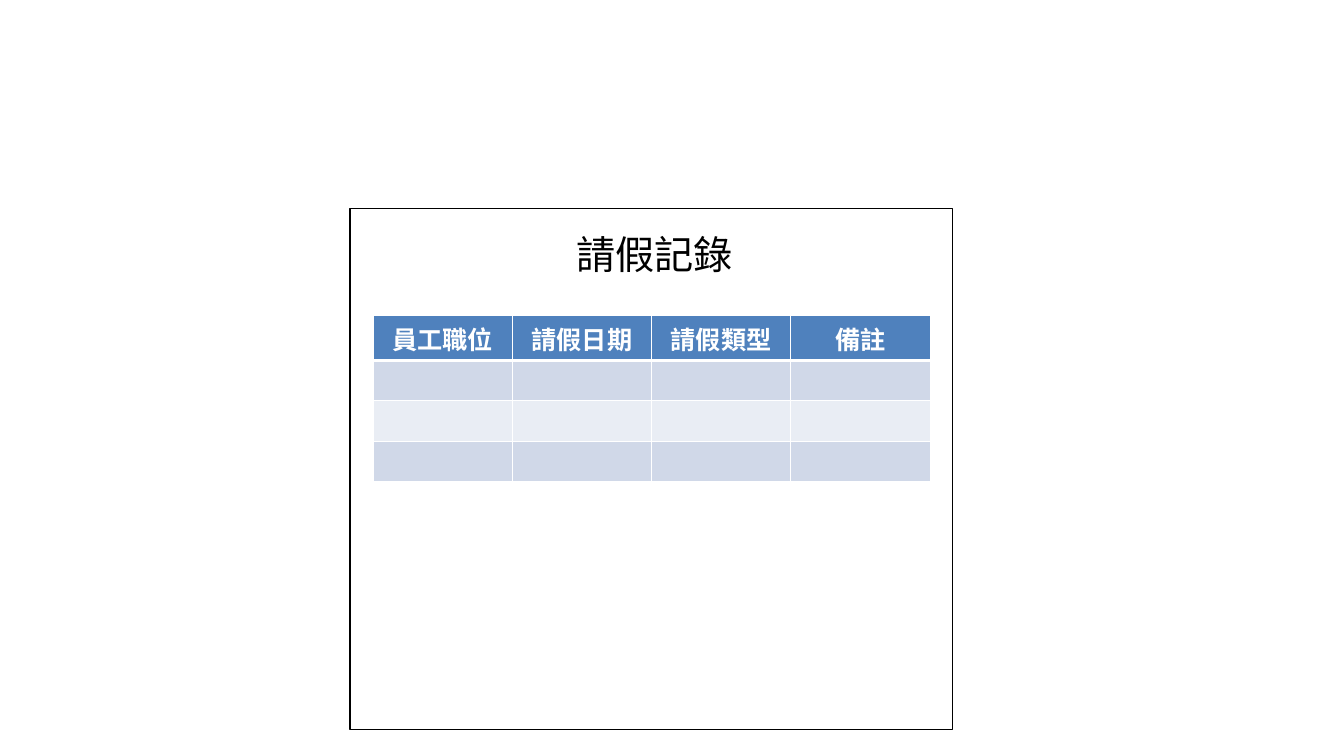
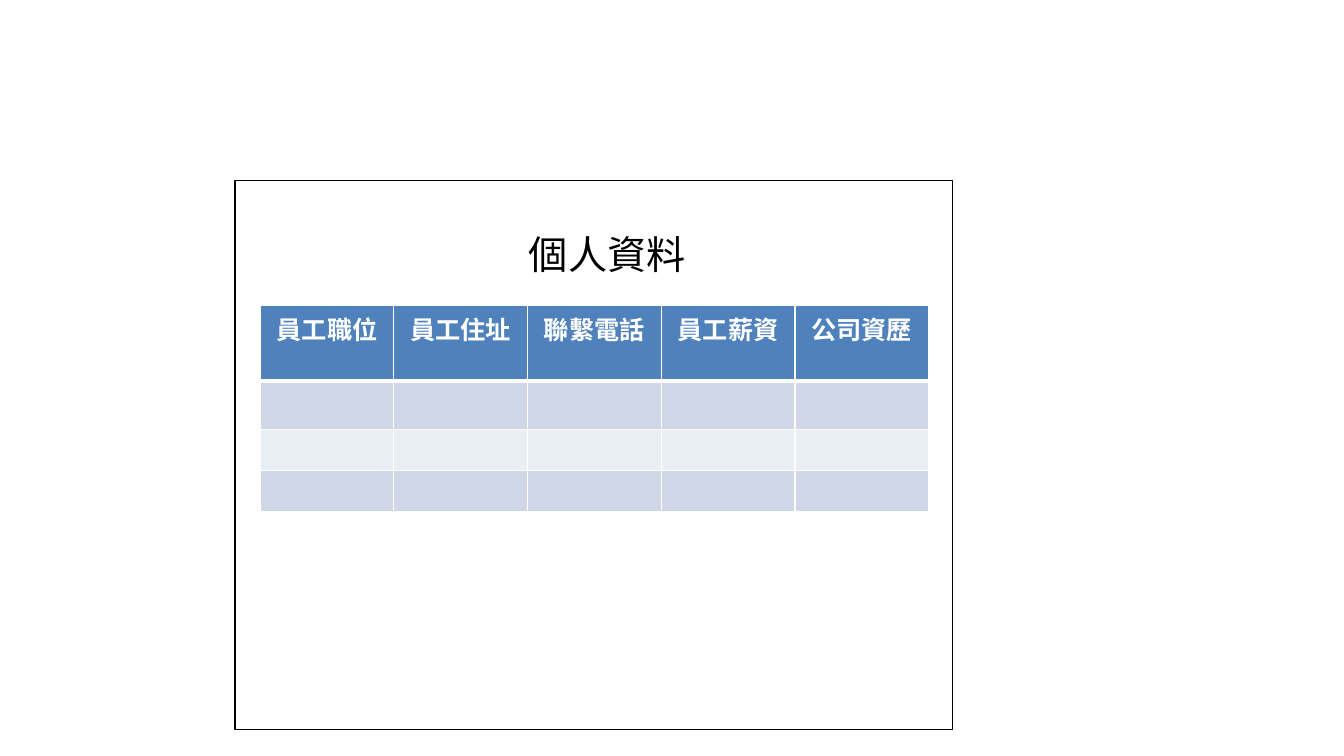
from dataclasses import dataclass

from lxml.etree import SubElement
from pptx import Presentation
from pptx.dml.color import RGBColor
from pptx.enum.shapes import MSO_SHAPE
from pptx.enum.text import PP_ALIGN
from pptx.oxml.ns import qn
from pptx.slide import Slide
from pptx.table import _Cell
from pptx.util import Pt


@dataclass(frozen=True)
class Theme:
    font: str = "Calibri"
    ink: str = "000000"
    paper: str = "FFFFFF"
    header: str = "4F81BD"
    bands: tuple[str, str] = ("D0D8E8", "E9EDF4")
    title_size: float = 28
    header_size: float = 18
    rule: float = 1
    header_rule: float = 3


@dataclass(frozen=True)
class Box:
    left: float
    top: float
    width: float
    height: float

    def lengths(self) -> tuple[Pt, Pt, Pt, Pt]:
        return Pt(self.left), Pt(self.top), Pt(self.width), Pt(self.height)


@dataclass(frozen=True)
class RecordPage:
    title: str
    title_left: float
    frame: Box
    grid_left: float
    grid_top: float
    column_width: float
    headings: tuple[str, ...]
    row_heights: tuple[float, ...]


THEME = Theme()
SLIDE_WIDTH, SLIDE_HEIGHT = 960, 540
TITLE_TOP, TITLE_WIDTH, TITLE_HEIGHT = 161.3, 314.6, 46

PAGES = (
    RecordPage(
        title="請假記錄",
        title_left=310.3,
        frame=Box(250, 149, 430.5, 372.2),
        grid_left=266.4,
        grid_top=225.5,
        column_width=99.5,
        headings=("員工職位", "請假日期", "請假類型", "備註"),
        row_heights=(32, 28, 27.5, 26.5),
    ),
    RecordPage(
        title="個人資料",
        title_left=276.5,
        frame=Box(168, 129, 512.5, 392.2),
        grid_left=185.8,
        grid_top=218.3,
        column_width=95.5,
        headings=("員工職位", "員工住址", "聯繫電話", "員工薪資", "公司資歷"),
        row_heights=(54, 34.5, 29.5, 29.5),
    ),
)


def rgb(value: str) -> RGBColor:
    return RGBColor.from_string(value)


def add_frame(slide: Slide, box: Box) -> None:
    frame = slide.shapes.add_shape(MSO_SHAPE.RECTANGLE, *box.lengths())
    frame.shadow.inherit = False
    frame.fill.background()
    frame.line.color.rgb = rgb(THEME.ink)
    frame.line.width = Pt(THEME.rule)


def write_centred(paragraph, text: str, size: float, color: str, bold: bool) -> None:
    paragraph.text = text
    paragraph.alignment = PP_ALIGN.CENTER
    paragraph.font.name = THEME.font
    paragraph.font.size = Pt(size)
    paragraph.font.bold = bold
    paragraph.font.color.rgb = rgb(color)


def add_title(slide: Slide, text: str, left: float) -> None:
    box = Box(left, TITLE_TOP, TITLE_WIDTH, TITLE_HEIGHT)
    title = slide.shapes.add_textbox(*box.lengths()).text_frame
    title.word_wrap = True
    write_centred(title.paragraphs[0], text, THEME.title_size, THEME.ink, False)


def set_borders(cell: _Cell, top: float, bottom: float) -> None:
    """Rule all four sides; call before filling, as the schema puts lines first."""
    properties = cell._tc.get_or_add_tcPr()
    widths = {"a:lnL": THEME.rule, "a:lnR": THEME.rule, "a:lnT": top, "a:lnB": bottom}
    for tag, width in widths.items():
        line = SubElement(properties, qn(tag), w=str(Pt(width)))
        fill = SubElement(line, qn("a:solidFill"))
        SubElement(fill, qn("a:srgbClr"), val=THEME.paper)


def add_grid(slide: Slide, page: RecordPage) -> None:
    box = Box(page.grid_left, page.grid_top,
              page.column_width * len(page.headings), sum(page.row_heights))
    grid = slide.shapes.add_table(
        len(page.row_heights), len(page.headings), *box.lengths()).table
    for column in grid.columns:
        column.width = Pt(page.column_width)
    for index, height in enumerate(page.row_heights):
        row = grid.rows[index]
        row.height = Pt(height)
        color = THEME.bands[(index - 1) % 2] if index else THEME.header
        top = THEME.header_rule if index == 1 else THEME.rule
        bottom = THEME.header_rule if index == 0 else THEME.rule
        for cell in row.cells:
            set_borders(cell, top, bottom)
            cell.fill.solid()
            cell.fill.fore_color.rgb = rgb(color)
    for cell, heading in zip(grid.rows[0].cells, page.headings):
        write_centred(cell.text_frame.paragraphs[0], heading,
                      THEME.header_size, THEME.paper, True)


def main() -> None:
    presentation = Presentation()
    presentation.slide_width = Pt(SLIDE_WIDTH)
    presentation.slide_height = Pt(SLIDE_HEIGHT)
    blank = presentation.slide_layouts[6]
    for page in PAGES:
        slide = presentation.slides.add_slide(blank)
        add_frame(slide, page.frame)
        add_title(slide, page.title, page.title_left)
        add_grid(slide, page)
    presentation.save("out.pptx")


if __name__ == "__main__":
    main()
